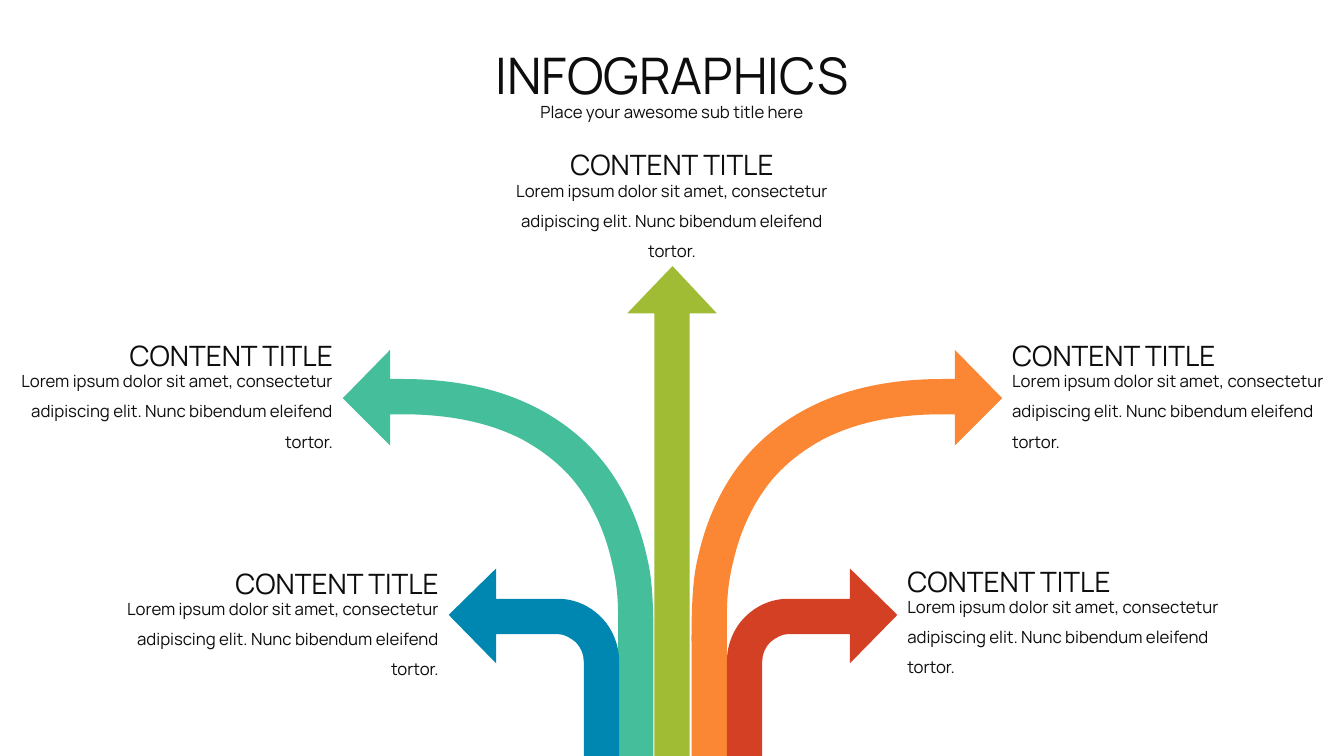
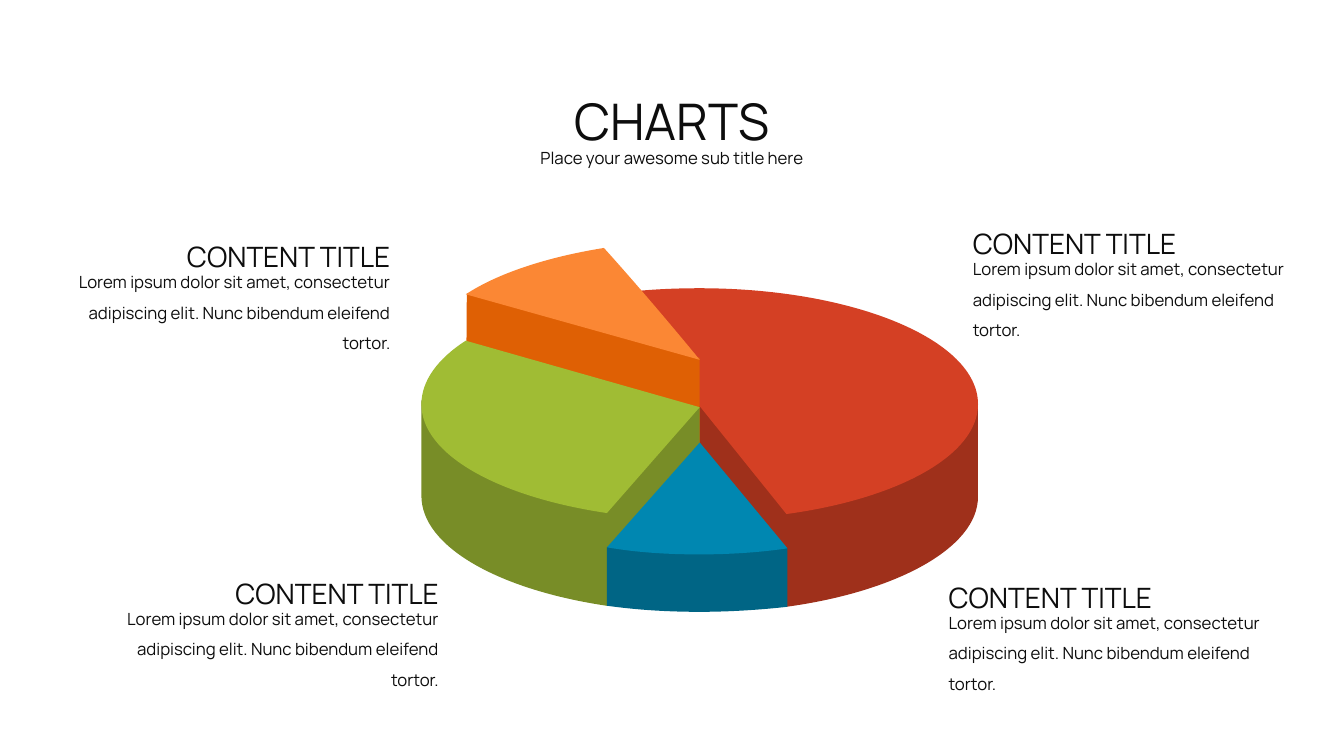
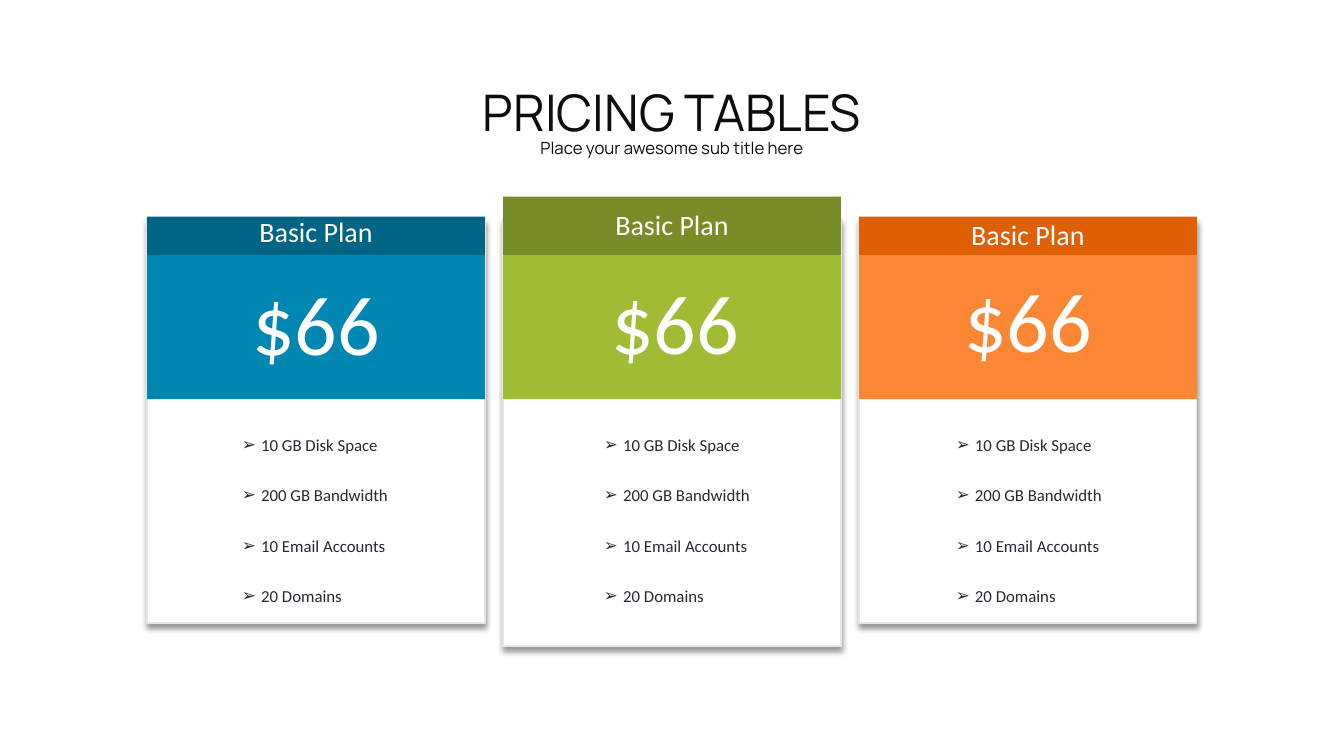
from lxml import etree
from pptx import Presentation
from pptx.dml.color import RGBColor
from pptx.enum.shapes import MSO_SHAPE
from pptx.enum.text import MSO_ANCHOR, MSO_AUTO_SIZE, PP_ALIGN
from pptx.oxml.ns import qn
from pptx.util import Inches, Pt

RECT = MSO_SHAPE.RECTANGLE
TOP = MSO_ANCHOR.TOP
GROW = MSO_AUTO_SIZE.SHAPE_TO_FIT_TEXT
LEFT, MID, RIGHT = PP_ALIGN.LEFT, PP_ALIGN.CENTER, PP_ALIGN.RIGHT
FULL = PP_ALIGN.JUSTIFY

INK, SLATE, WHITE, EDGE = "0D0D0D", "222A35", "FFFFFF", "E7E6E6"
TEAL = "45BE9B"
BLUE, NAVY = "0087B1", "006585"
LIME, OLIVE = "A0BC34", "788D27"
AMBER, RUST = "FB8734", "DF6004"
RED, WINE = "D44024", "9F301B"

STYLES = {
    "title": ({"name": "Manrope", "size": Pt(36), "bold": False}, INK, 1.5),
    "head": ({"name": "Manrope", "size": Pt(20), "bold": False}, INK, 1.5),
    "body": ({"name": "Manrope", "size": Pt(12), "bold": False}, INK, 1.5),
    "plan": ({"name": "Calibri", "size": Pt(20), "bold": False}, WHITE, 1.0),
    "price": ({"name": "Calibri", "size": Pt(60), "bold": False}, WHITE, 1.0),
    "list": ({"name": "Calibri", "size": Pt(12), "bold": False}, SLATE, 2.5),
}

LOREM = ("Lorem ipsum dolor sit amet, consectetur adipiscing elit. "
         "Nunc bibendum eleifend tortor.")
PERKS = ["10 GB Disk Space", "200 GB Bandwidth", "10 Email Accounts", "20 Domains"]

STEM = [(0.89, 0.47), (0.45, 0), (0, 0.47), (0.27, 0.47), (0.27, 5.7),
        (0.62, 5.7), (0.62, 0.47)]
LONG = [(0.47, 0), (0, 0.48), (0.47, 0.95), (0.47, 0.64), (0.59, 0.64),
        (1.11, 0.64, 1.49, 0.74, 1.78, 0.89),
        (2, 1.01, 2.17, 1.15, 2.3, 1.31),
        (2.49, 1.55, 2.6, 1.82, 2.66, 2.07),
        (2.72, 2.31, 2.73, 2.46, 2.73, 2.66),
        (2.73, 4.69), (3.08, 4.69), (3.08, 3.06),
        (3.09, 2.4, 3.05, 2.2, 3.02, 2.07),
        (2.98, 1.89, 2.92, 1.69, 2.82, 1.49),
        (2.67, 1.18, 2.43, 0.88, 2.07, 0.66),
        (1.7, 0.43, 1.22, 0.29, 0.59, 0.29), (0.47, 0.29)]
SHORT = [(0, 0.46), (0.47, 0.94), (0.47, 0.65), (1.08, 0.65),
         (1.15, 0.65, 1.21, 0.69, 1.26, 0.73),
         (1.31, 0.78, 1.34, 0.85, 1.34, 0.92),
         (1.34, 2.52), (1.69, 2.52), (1.69, 0.92),
         (1.69, 0.75, 1.62, 0.59, 1.51, 0.48),
         (1.4, 0.37, 1.25, 0.3, 1.08, 0.3), (0.47, 0.3), (0.47, 0)]

PIE = [
    (WINE, [(2.76, 2.49), (3.62, 3.56), (4.72, 3.41, 5.52, 2.97, 5.52, 2.47),
            (5.52, 1.52), (1.83, 0.47), (1.82, 1.39)]),
    (RED, [(2.76, 1.57), (3.62, 2.64), (4.72, 2.49, 5.52, 2.06, 5.52, 1.55),
           (5.52, 0.91, 4.28, 0.4, 2.76, 0.4),
           (2.43, 0.4, 2.11, 0.42, 1.81, 0.47)]),
    (RUST, [(0.44, 1.83), (0.45, 0.45), (2.76, 1.09), (2.76, 2.47)]),
    (OLIVE, [(1.84, 3.55), (0.76, 3.39, 0, 2.96, 0, 2.46), (0, 1.51),
             (0, 1.51, 0.33, 1.91, 0.44, 1.84), (2.76, 1.58), (2.76, 2.5)]),
    (NAVY, [(2.76, 2.5), (3.63, 2.98), (3.63, 3.56),
            (3.36, 3.59, 3.06, 3.61, 2.76, 3.61),
            (2.43, 3.61, 2.13, 3.59, 1.84, 3.55), (1.84, 2.97)]),
    (LIME, [(1.84, 2.63), (0.76, 2.47, 0, 2.05, 0, 1.55),
            (0, 1.32, 0.16, 1.1, 0.44, 0.92), (2.76, 1.58)]),
    (AMBER, [(0.44, 0.46), (0.76, 0.25, 1.25, 0.09, 1.81, 0),
             (2.27, 0.51, 2.76, 1.11, 2.76, 1.11)]),
    (BLUE, [(2.76, 1.93), (3.63, 2.98), (3.36, 3.02, 3.06, 3.04, 2.76, 3.04),
            (2.43, 3.04, 2.13, 3.02, 1.84, 2.97)]),
]


def tint(hue):
    return RGBColor.from_string(hue)


def paint(shape, hue):
    shape.fill.solid()
    shape.fill.fore_color.rgb = tint(hue)
    shape.line.fill.background()
    shape.shadow.inherit = False


def place(shape, x, y, w, h):
    for name, size in {"left": x, "top": y, "width": w, "height": h}.items():
        setattr(shape, name, Inches(size))


def mark(para):
    props = para._p.get_or_add_pPr()
    props.set("marL", str(Inches(0.19)))
    props.set("indent", str(Inches(-0.19)))
    etree.SubElement(props, qn("a:buChar")).set("char", "➢")


def write(shape, lines, style, align, bullet=False):
    face, hue, gap = STYLES[style]
    frame = shape.text_frame
    frame.text = "\n".join(lines)
    for name, value in {"word_wrap": True, "auto_size": GROW,
                        "vertical_anchor": TOP}.items():
        setattr(frame, name, value)
    for para in frame.paragraphs:
        if bullet:
            mark(para)
        for name, value in {"alignment": align, "line_spacing": gap,
                            "space_before": Pt(0)}.items():
            setattr(para, name, value)
        for run in para.runs:
            for name, value in face.items():
                setattr(run.font, name, value)
            run.font.color.rgb = tint(hue)


def label(slide, x, y, w, h, text, style, align):
    box = slide.shapes.add_textbox(*map(Inches, (x, y, w, h)))
    write(box, [text], style, align)


def bend(line, spots, shape):
    line.tag = qn("a:cubicBezTo")
    for old in list(line):
        line.remove(old)
    for x, y in spots:
        etree.SubElement(line, qn("a:pt"), x=str(x - shape.left),
                         y=str(y - shape.top))


def trace(slide, x, y, route, hue, side=1):
    parts = [[(Inches(x + side * a), Inches(y + b))
              for a, b in zip(part[::2], part[1::2])] for part in route]
    pen = slide.shapes.build_freeform(*parts[0][0], scale=1.0)
    pen.add_line_segments([part[-1] for part in parts[1:]], close=True)
    shape = pen.convert_to_shape()
    lines = list(shape.element.iter(qn("a:lnTo")))
    for line, spots in zip(lines, parts[1:]):
        if len(spots) == 3:
            bend(line, spots, shape)
    paint(shape, hue)


def start(deck, layout, title, y, low):
    slide = deck.slides.add_slide(deck.slide_layouts[layout])
    sub = slide.placeholders[1]
    place(slide.shapes.title, 0.62, y, 12.09, 1.01)
    place(sub, 0.62, low, 12.09, 0.31)
    write(slide.shapes.title, [title], "title", MID)
    write(sub, ["Place your awesome sub title here"], "body", MID)
    return slide


def note(slide, x, y, align):
    label(slide, x, y + 0.39, 3.41, 1.01, LOREM, "body", align)
    label(slide, x, y, 3.41, 0.61, "CONTENT TITLE", "head",
          FULL if align == LEFT else align)


def block(slide, x, y, w, h, hue):
    shape = slide.shapes.add_shape(RECT, *map(Inches, (x, y, w, h)))
    paint(shape, hue)
    return shape


def shade(shape):
    glow = shape.element.spPr.find(qn("a:effectLst"))
    drop = etree.SubElement(glow, qn("a:outerShdw"), blurRad=str(Pt(4)),
                            dist=str(Pt(3)), dir="5400000", algn="t",
                            rotWithShape="0")
    black = etree.SubElement(drop, qn("a:srgbClr"), val="000000")
    etree.SubElement(black, qn("a:alpha"), val="40000")


def card(slide, x, y, w, h, perks, hue, dark, rise, name, cost, inset, shift):
    base = block(slide, x, y, w, h, WHITE)
    base.line.color.rgb = tint(EDGE)
    base.line.width = Pt(1)
    shade(base)
    block(slide, x, y + 0.36, w, 1.43, hue)
    block(slide, x, y + 0.36 - rise, w, rise, dark)
    label(slide, x + 0.25, y + name, 2.85, 0.44, "Basic Plan", "plan", MID)
    label(slide, x + shift, y + cost, 2.85, 1.11, "$66", "price", MID)
    place(perks, x + inset, y + 1.79, 1.93, 2.12)
    write(perks, PERKS, "list", LEFT, bullet=True)
    slide.shapes.element.append(perks.element)


def arrows(deck):
    slide = start(deck, 0, "INFOGRAPHICS", 0.09, 0.86)
    trace(slide, 6.22, 2.64, STEM, LIME)
    for route, y, near, far, cool, warm in (
            (LONG, 3.47, 3.4, 9.94, TEAL, AMBER),
            (SHORT, 5.64, 4.45, 8.9, BLUE, RED)):
        trace(slide, near, y, route, cool)
        trace(slide, far, y, route, warm, -1)
    for x, y, align in ((9.94, 3.14, LEFT), (-0.01, 3.14, RIGHT),
                        (8.9, 5.38, LEFT), (1.04, 5.4, RIGHT),
                        (4.96, 1.25, MID)):
        note(slide, x, y, align)


def charts(deck):
    slide = start(deck, 0, "CHARTS", 0.54, 1.32)
    for hue, route in PIE:
        trace(slide, 4.18, 2.46, route, hue)
    for x, y, align in ((9.55, 2.03, LEFT), (9.31, 5.54, LEFT),
                        (0.56, 2.16, RIGHT), (1.04, 5.5, RIGHT)):
        note(slide, x, y, align)


def prices(deck):
    slide = start(deck, 4, "PRICING TABLES", 0.45, 1.22)
    plans = [(4.01, BLUE, NAVY, 0.38, -0.09, 0.47, 0.84, 0.25),
             (4.24, LIME, OLIVE, 0.58, -0.16, 0.46, 0.9, 0.28),
             (4.01, AMBER, RUST, 0.38, -0.06, 0.44, 0.86, 0.25)]
    for i, (h, *rest) in enumerate(plans):
        card(slide, 1.46 + 3.53 * i, 2.17, 3.35, h,
             slide.placeholders[i + 2], *rest)


def main():
    deck = Presentation()
    deck.slide_width, deck.slide_height = Inches(13.33), Inches(7.5)
    for make in (arrows, charts, prices):
        make(deck)
    deck.save("out.pptx")


if __name__ == "__main__":
    main()
